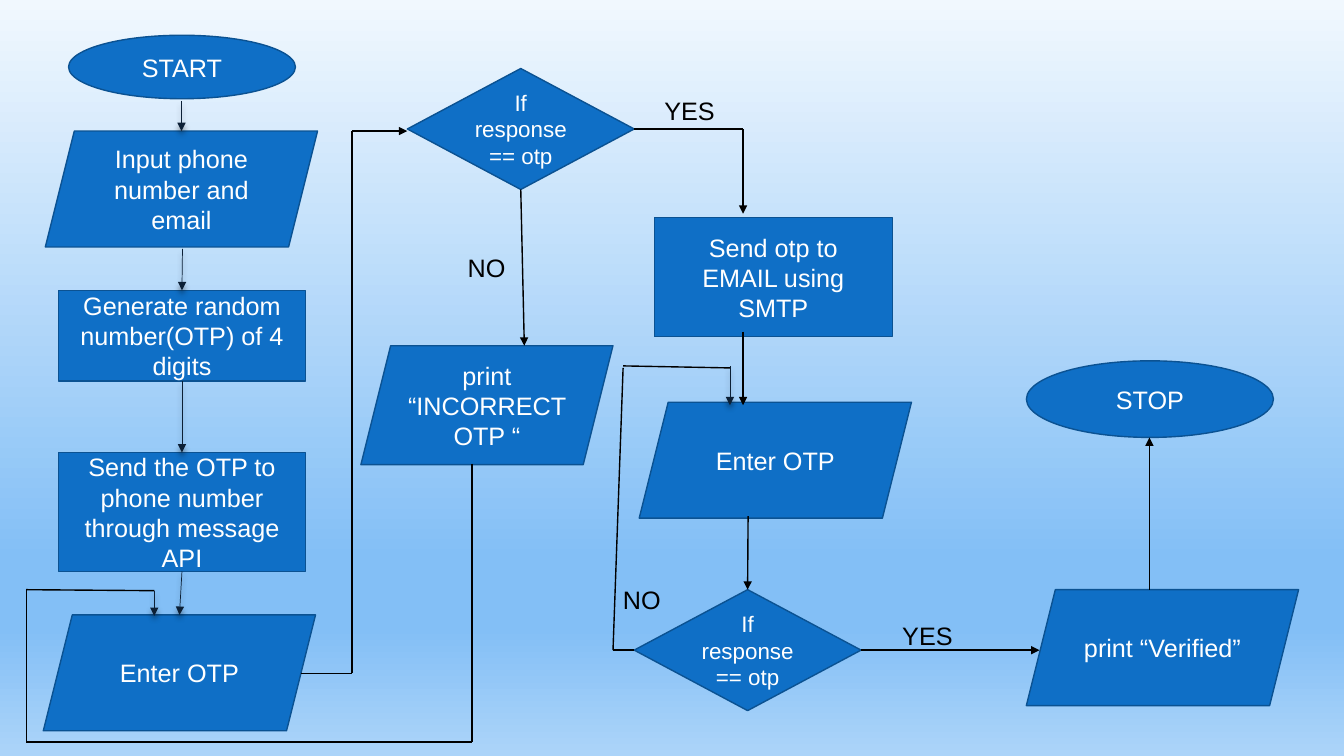
from pptx import Presentation
from pptx.dml.color import RGBColor
from pptx.enum.shapes import MSO_CONNECTOR, MSO_SHAPE
from pptx.enum.text import MSO_ANCHOR, MSO_AUTO_SIZE, PP_ALIGN
from pptx.oxml import parse_xml
from pptx.oxml.ns import nsdecls, qn
from pptx.util import Pt

PX = 9144  # EMU per px, 100 px to the inch
BLUE = RGBColor(0x0F, 0x6F, 0xC6)
EDGE = RGBColor(0x0B, 0x52, 0x92)
NAVY = RGBColor(0x0C, 0x20, 0x36)
BLACK = RGBColor(0, 0, 0)
WHITE = RGBColor(0xFF, 0xFF, 0xFF)
SKY = [(0, RGBColor(0xF1, 0xF8, 0xFE)), (74, RGBColor(0x83, 0xBF, 0xF6)),
       (83, RGBColor(0x83, 0xBF, 0xF6)), (100, RGBColor(0xAC, 0xD4, 0xF9))]
RECT, OVAL = MSO_SHAPE.RECTANGLE, MSO_SHAPE.OVAL
DIAMOND, SLANT = MSO_SHAPE.DIAMOND, MSO_SHAPE.PARALLELOGRAM
STRAIGHT = MSO_CONNECTOR.STRAIGHT
TOP, LEFT, BOTTOM, RIGHT = range(4)
SHADOW = ('<a:outerShdw blurRad="50800" dist="38100" dir="5400000" rotWithShape="0">'
          '<a:srgbClr val="000000"><a:alpha val="40000"/></a:srgbClr></a:outerShdw>')


def write(sp, text, size, color, align):
    tf = sp.text_frame
    tf.text = text
    p = tf.paragraphs[0]
    p.alignment = align
    font = p.runs[0].font
    font.name, font.size, font.color.rgb = "Arial", Pt(size), color
    return tf


def draw_line(x1, y1, x2, y2, arrow=False, soft=False, begin=None, end=None):
    c = s.shapes.add_connector(STRAIGHT, x1 * PX, y1 * PX, x2 * PX, y2 * PX)
    c.line.color.rgb = NAVY if soft else BLACK
    c.line.width = Pt(0.5 if soft else 1)
    if arrow:
        c.line._get_or_add_ln().append(
            parse_xml(f'<a:tailEnd {nsdecls("a")} type="triangle"/>'))
    effect = SHADOW if soft else ""
    c._element.spPr.append(
        parse_xml(f'<a:effectLst {nsdecls("a")}>{effect}</a:effectLst>'))
    if begin:
        c.begin_connect(nodes[begin[0]], begin[1])
    if end:
        c.end_connect(nodes[end[0]], end[1])


prs = Presentation()
prs.slide_width, prs.slide_height = 1333 * PX, 750 * PX
s = prs.slides.add_slide(prs.slide_layouts[6])

# Background gradient, top to bottom
fill = s.background.fill
fill.gradient()
fill.gradient_angle = 270
stops = next(s.element.iter(qn("a:gsLst")))
for old in list(stops):
    stops.remove(old)
for pos, color in SKY:
    stops.append(parse_xml(f'<a:gs {nsdecls("a")} pos="{pos * 1000}">'
                           f'<a:srgbClr val="{color}"/></a:gs>'))

# Flowchart nodes
nodes = {}
for name, kind, x, y, w, h, text in [
    ("start", OVAL, 68, 35, 225, 63, "START"),
    ("input", SLANT, 45, 130, 270, 115, "Input phone number and email"),
    ("generate", RECT, 58, 288, 245, 90, "Generate random number(OTP) of 4 digits"),
    ("sms", RECT, 58, 449, 245, 118,
     "Send the OTP to phone number through message API"),
    ("enter sms", SLANT, 43, 610, 270, 115, "Enter OTP"),
    ("check sms", DIAMOND, 404, 68, 225, 120, "If response == otp"),
    ("incorrect", SLANT, 358, 343, 250, 118, "print “INCORRECT OTP “"),
    ("email", SLANT, 649, 216, 236, 118, "Send otp to EMAIL using SMTP"),
    ("enter email", SLANT, 634, 399, 270, 115, "Enter OTP"),
    ("check email", DIAMOND, 629, 585, 225, 120, "If response == otp"),
    ("verified", SLANT, 1018, 585, 270, 115, "print “Verified”"),
    ("stop", OVAL, 1018, 358, 245, 76, "STOP"),
]:
    sp = s.shapes.add_shape(kind, x * PX, y * PX, w * PX, h * PX)
    sp.shadow.inherit = False
    sp.fill.solid()
    sp.fill.fore_color.rgb = BLUE
    sp.line.color.rgb = EDGE
    sp.line.width = Pt(1)
    tf = write(sp, text, 16 if kind == DIAMOND else 18, WHITE, PP_ALIGN.CENTER)
    tf.word_wrap = True
    tf.vertical_anchor = MSO_ANCHOR.MIDDLE
    nodes[name] = sp
nodes["email"].adjustments[0] = 0

# First column, top to bottom
draw_line(180, 100, 180, 130, True, True)
draw_line(181, 247, 180, 288, True, True, end=("generate", TOP))
draw_line(181, 378, 180, 449, True, True, ("generate", BOTTOM), ("sms", TOP))
draw_line(180, 567, 178, 610, True, True, begin=("sms", BOTTOM))

# Entered code to the first check
draw_line(349, 668, 299, 668)
draw_line(349, 130, 349, 668)
draw_line(349, 130, 404, 130, True)

# First check: yes to email, no to the incorrect message
draw_line(629, 128, 737, 128, begin=("check sms", RIGHT))
draw_line(737, 128, 737, 212, True)
draw_line(516, 188, 520, 343, True, begin=("check sms", BOTTOM))

# Incorrect message back to the first entry
draw_line(468, 460, 468, 736)
draw_line(468, 736, 26, 736)
draw_line(26, 585, 26, 736)
draw_line(26, 585, 153, 586)
draw_line(153, 586, 153, 611, True, True)

# Email entry and second check
draw_line(737, 329, 737, 402, True)
draw_line(742, 512, 742, 585, True, end=("check email", TOP))
draw_line(854, 645, 1031, 645, True, begin=("check email", RIGHT))
draw_line(1140, 585, 1140, 434, True)

# Second check back to the email entry
draw_line(629, 645, 608, 645, begin=("check email", LEFT))
draw_line(608, 645, 618, 365)
draw_line(724, 365, 618, 363)
draw_line(724, 363, 724, 402, True, True)

# Branch labels
for text, x, y, w in [("YES", 649, 90, 71), ("NO", 454, 245, 58),
                      ("NO", 608, 575, 58), ("YES", 885, 610, 71)]:
    tb = s.shapes.add_textbox(x * PX, y * PX, w * PX, 40 * PX)
    tf = write(tb, text, 18, BLACK, PP_ALIGN.LEFT)
    tf.word_wrap = False
    tf.auto_size = MSO_AUTO_SIZE.SHAPE_TO_FIT_TEXT

prs.save("out.pptx")
